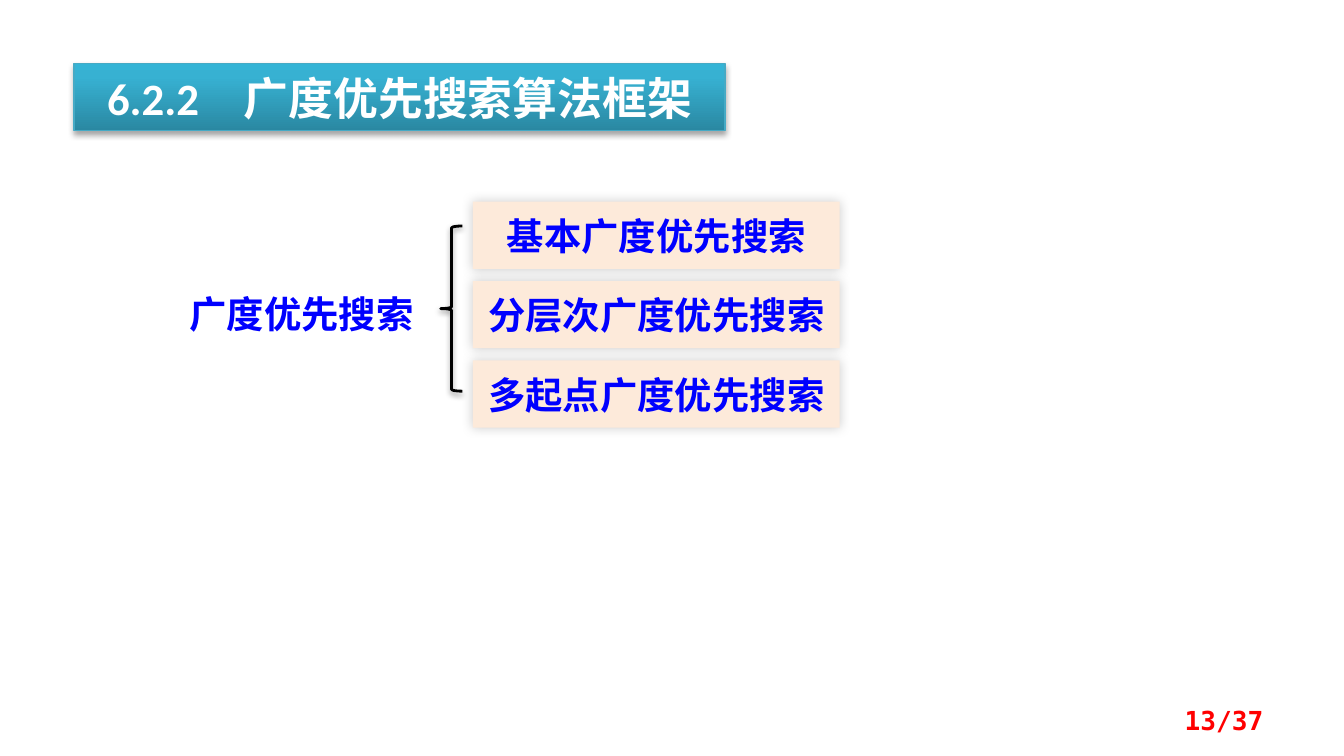
from pptx import Presentation
from pptx.dml.color import RGBColor
from pptx.enum.shapes import MSO_SHAPE
from pptx.enum.text import MSO_ANCHOR, PP_ALIGN
from pptx.oxml import parse_xml
from pptx.oxml.ns import nsdecls, qn
from pptx.util import Cm, Pt
from copy import deepcopy

TITLE = ["6.2.2", "　", "广度优先搜索算法框架"]
ROOT = "广度优先搜索"
BRANCHES = ["基本广度优先搜索", "分层次广度优先搜索", "多起点广度优先搜索"]
PAGE = "13/37"
CJK = "Noto Sans CJK SC"
MONO = "DejaVu Sans Mono"
GRADIENT = [(0, "2A88A2"), (0.8, "37B1D2"), (1, "34B4D6")]
BRANCH_LEFT, BRANCH_TOP, BRANCH_W, BRANCH_H, BRANCH_STEP = 8.94, 3.81, 6.93, 1.27, 1.5


def rgb(value):
    return RGBColor.from_string(value)


def box(*cm):
    return [Cm(v) for v in cm]


def write(s, runs, size, font, color, align, margin_y=0.13):
    tf = s.text_frame
    tf.word_wrap = True
    tf.vertical_anchor = MSO_ANCHOR.MIDDLE
    tf.margin_left = tf.margin_right = Cm(0.25)
    tf.margin_top = tf.margin_bottom = Cm(margin_y)
    p = tf.paragraphs[0]
    p.alignment = align
    for text in runs:
        r = p.add_run()
        r.text = text
        r.font.size = Pt(size)
        r.font.bold = True
        r.font.name = font
        r.font.color.rgb = rgb(color)
        ea = parse_xml(f'<a:ea {nsdecls("a")} typeface="{CJK}"/>')
        r.font._element.find(qn("a:latin")).addnext(ea)


def add_shadow(s, alpha, blur, dist, angle):
    s.shadow.inherit = False
    s._element.spPr.find(qn("a:effectLst")).append(parse_xml(
        f'<a:outerShdw {nsdecls("a")} blurRad="{Pt(blur)}" dist="{Pt(dist)}" '
        f'dir="{angle * 60000}" rotWithShape="0"><a:srgbClr val="000000">'
        f'<a:alpha val="{alpha * 1000}"/></a:srgbClr></a:outerShdw>'))


def fill_gradient(s, stops):
    s.fill.gradient()
    s.fill.gradient_angle = 90
    stop_list = s._element.spPr.find(qn("a:gradFill")).find(qn("a:gsLst"))
    while len(stop_list) < len(stops):
        stop_list.append(deepcopy(stop_list[0]))
    for stop, (position, color) in zip(s.fill.gradient_stops, stops):
        stop.position = position
        stop.color.rgb = rgb(color)


prs = Presentation()
prs.slide_width, prs.slide_height = box(25.4, 14.28)
slide = prs.slides.add_slide(prs.slide_layouts[5])
shapes = slide.shapes

title = shapes.title
title.left, title.top, title.width, title.height = box(1.4, 1.2, 12.3, 1.27)
fill_gradient(title, GRADIENT)
title.line.color.rgb = rgb("46AAC5")
title.line.width = Pt(0.75)
add_shadow(title, 35, 3.1, 1.8, 90)
write(title, TITLE, 24, "Calibri", "FFFFFF", PP_ALIGN.CENTER)

root = shapes.add_textbox(*box(3.33, 5.36, 5.2, 1.12))
write(root, [ROOT], 20, CJK, "0000FF", PP_ALIGN.LEFT)

for i, name in enumerate(BRANCHES):
    top = BRANCH_TOP + i * BRANCH_STEP
    branch = shapes.add_shape(MSO_SHAPE.RECTANGLE, *box(BRANCH_LEFT, top, BRANCH_W, BRANCH_H))
    branch.fill.solid()
    branch.fill.fore_color.rgb = rgb("FDEADA")
    branch.line.fill.background()
    add_shadow(branch, 20, 6, 0, 315)
    write(branch, [name], 20, CJK, "0000FF", PP_ALIGN.CENTER, 0.2)

brace = shapes.add_shape(MSO_SHAPE.LEFT_BRACE, *box(8.33, 4.27, 0.41, 3.12))
brace.fill.background()
brace.line.color.rgb = rgb("000000")
brace.line.width = Pt(1.5)
add_shadow(brace, 38, 3.1, 1.6, 90)

page = shapes.add_textbox(*box(18.21, 13.23, 5.92, 0.76))
write(page, [PAGE], 14, MONO, "FF0000", PP_ALIGN.RIGHT)

prs.save("out.pptx")
